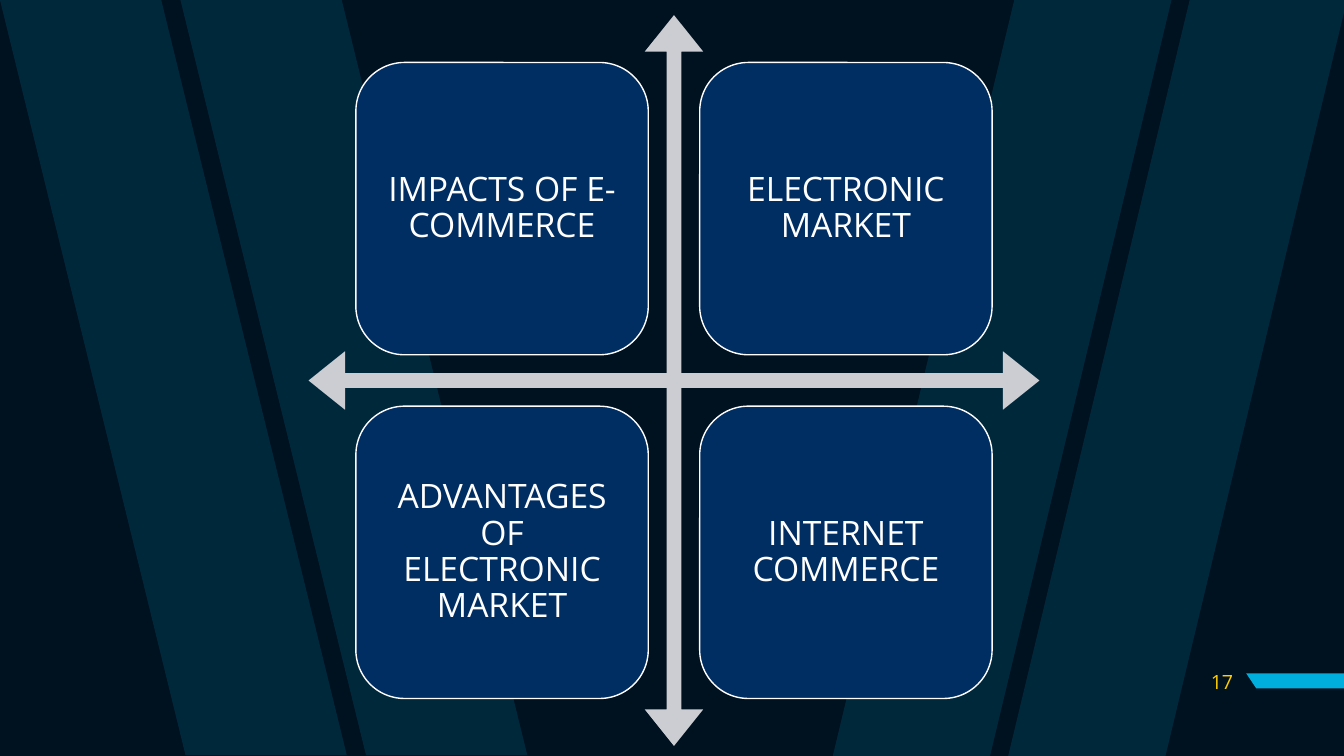
from lxml import etree
from pptx import Presentation
from pptx.dml.color import RGBColor
from pptx.enum.shapes import MSO_SHAPE as SHAPE
from pptx.enum.text import MSO_ANCHOR as ANCHOR, PP_ALIGN as ALIGN
from pptx.oxml.ns import qn
from pptx.util import Inches, Pt

NIGHT = RGBColor(0x00, 0x11, 0x1F)
CYAN = RGBColor(0x00, 0xAE, 0xDE)
NAVY = RGBColor(0x00, 0x2E, 0x62)
SILVER = RGBColor(0xCC, 0xCD, 0xD3)
WHITE = RGBColor(0xFF, 0xFF, 0xFF)
YELLOW = RGBColor(0xFF, 0xCD, 0x00)


class SlideBuilder:
    font = "Open Sans"

    def __init__(self, slide):
        self.s = slide

    def background(self, color):
        fill = self.s.background.fill
        fill.solid()
        fill.fore_color.rgb = color

    def paint(self, sp, color, line=None, alpha=None):
        sp.shadow.inherit = False
        sp.fill.solid()
        sp.fill.fore_color.rgb = color
        if alpha is not None:
            clr = sp._element.spPr.find(qn("a:solidFill"))[0]
            etree.SubElement(clr, qn("a:alpha"), val=str(alpha * 1000))
        if line is None:
            sp.line.fill.background()
        else:
            sp.line.color.rgb = line
            sp.line.width = Pt(1)

    def outline(self, contours, color, alpha=None):
        """Draw closed contours, given in inches, as one freeform."""
        fb = None
        for contour in contours:
            start, *rest = [(Inches(x), Inches(y)) for x, y in contour]
            if fb is None:
                fb = self.s.shapes.build_freeform(*start, scale=1.0)
            else:
                fb.move_to(*start)
            fb.add_line_segments(rest, close=True)
        self.paint(fb.convert_to_shape(), color, alpha=alpha)

    def shape(self, kind, x, y, w, h, color, line=None, adj=()):
        sp = self.s.shapes.add_shape(kind, Inches(x), Inches(y), Inches(w), Inches(h))
        for i, value in enumerate(adj):
            sp.adjustments[i] = value
        self.paint(sp, color, line)
        return sp

    def label(self, sp, text, size, color, align, spacing=None):
        tf = sp.text_frame
        tf.word_wrap = True
        tf.vertical_anchor = ANCHOR.MIDDLE
        tf.margin_left = tf.margin_right = Inches(0.1)
        tf.margin_top = tf.margin_bottom = Inches(0.1)
        p = tf.paragraphs[0]
        p.alignment = align
        if spacing:
            p.line_spacing = spacing
        r = p.add_run()
        r.text = text
        r.font.name = self.font
        r.font.size = Pt(size)
        r.font.color.rgb = color

    def text(self, x, y, w, h, text, size, color, align):
        tb = self.s.shapes.add_textbox(Inches(x), Inches(y), Inches(w), Inches(h))
        self.label(tb, text, size, color, align)


def band(top, bottom, width, y0, y1):
    """Slanted band from its left edge at the top to that at the bottom."""
    return [(top, y0), (top + width, y0), (bottom + width, y1), (bottom, y1)]


def main():
    prs = Presentation()
    prs.slide_width, prs.slide_height = Inches(13.33), Inches(7.5)
    b = SlideBuilder(prs.slides.add_slide(prs.slide_layouts[6]))
    b.background(NIGHT)

    # Slanted background bands
    b.outline([band(x, x + 1.84, 1.6, 0, 7.49) for x in (0, 1.79)], CYAN, alpha=15)
    b.outline([band(x, x - 1.8, 1.56, 0, 7.5) for x in (10.06, 11.8)], CYAN, alpha=15)

    # Slide number and its marker
    b.outline([[(12.36, 6.68), (13.33, 6.68), (13.33, 6.83), (12.46, 6.83)]], CYAN)
    b.text(11.73, 6.56, 0.6, 0.4, "17", 14, YELLOW, ALIGN.RIGHT)

    # Matrix: four-way arrow and a two by two grid of topics
    b.shape(SHAPE.QUAD_ARROW, 3.06, 0.15, 7.25, 7.25, SILVER, adj=(0.02, 0.04, 0.05))
    topics = ["IMPACTS OF E-COMMERCE", "ELECTRONIC MARKET",
              "ADVANTAGES OF ELECTRONIC MARKET", "INTERNET COMMERCE"]
    side, pitch = 2.9, 3.41
    for i, topic in enumerate(topics):
        row, col = divmod(i, 2)
        card = b.shape(SHAPE.ROUNDED_RECTANGLE, 3.53 + col * pitch, 0.62 + row * pitch,
                       side, side, NAVY, WHITE)
        b.label(card, topic, 24, WHITE, ALIGN.CENTER, spacing=0.9)

    prs.save("out.pptx")


if __name__ == "__main__":
    main()
